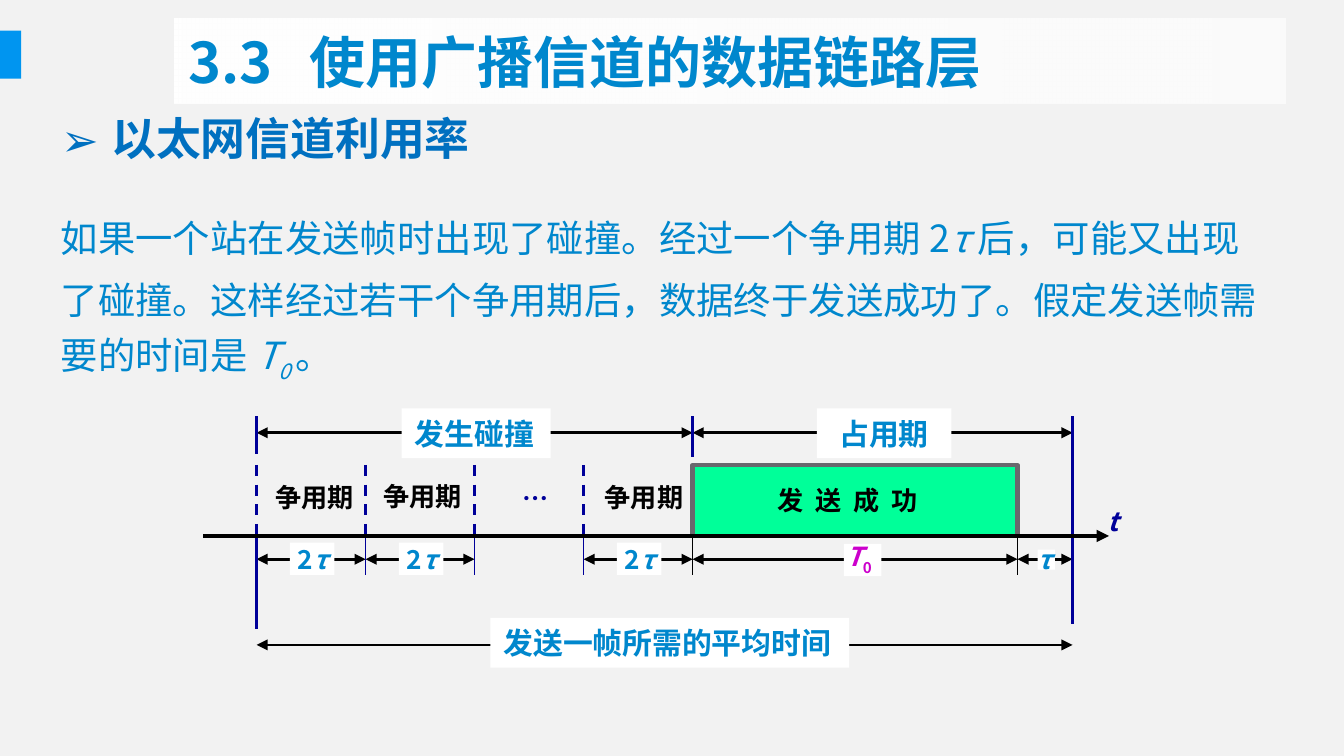
from dataclasses import dataclass
from typing import Optional

from lxml.etree import SubElement
from pptx import Presentation
from pptx.dml.color import RGBColor
from pptx.enum.dml import MSO_LINE_DASH_STYLE as Dash
from pptx.enum.shapes import MSO_CONNECTOR as Connector, MSO_SHAPE as ShapeKind
from pptx.enum.text import MSO_ANCHOR as Anchor, MSO_AUTO_SIZE as AutoSize, PP_ALIGN as Align
from pptx.oxml.ns import qn
from pptx.util import Cm, Pt


@dataclass(frozen=True)
class Theme:
    font: str = "Noto Sans CJK SC"
    background: str = "F2F2F2"
    accent: str = "0095F0"
    blue: str = "0087CD"
    heading: str = "0070C0"
    navy: str = "000099"
    black: str = "000000"
    white: str = "FFFFFF"
    magenta: str = "CC00CC"
    green: str = "00FF99"
    gray: str = "69676D"
    title_size: int = 30
    heading_size: int = 24
    body_size: int = 20
    label_size: int = 16
    note_size: int = 14
    thin: float = 0.75
    medium: float = 1.5
    thick: float = 2.25


THEME = Theme()


@dataclass(frozen=True)
class Run:
    text: str
    italic: bool = False
    subscript: bool = False
    spacing: float = 0  # extra points after each letter


@dataclass(frozen=True)
class Box:
    left: float
    top: float
    width: float
    height: float


@dataclass(frozen=True)
class Note:
    box: Box
    runs: tuple[Run, ...]
    color: str
    size: int = THEME.note_size
    fill: Optional[str] = None
    align: Align = Align.LEFT


@dataclass(frozen=True)
class Line:
    x1: float
    y1: float
    x2: float
    y2: float
    color: str = THEME.black
    width: float = THEME.medium
    dashed: bool = False
    heads: tuple[str, ...] = ()


def rgb(color: str) -> RGBColor:
    return RGBColor.from_string(color)


def place(shape, box: Box) -> None:
    shape.left, shape.top = Cm(box.left), Cm(box.top)
    shape.width, shape.height = Cm(box.width), Cm(box.height)


def add_runs(paragraph, runs: tuple[Run, ...], size: int, color: str, bold: bool = True) -> None:
    for item in runs:
        run = paragraph.add_run()
        run.text = item.text
        font = run.font
        font.size, font.bold, font.italic = Pt(size), bold, item.italic
        font.color.rgb = rgb(color)
        font.name = THEME.font
        properties = run._r.get_or_add_rPr()
        SubElement(properties, qn("a:ea"), typeface=THEME.font)
        if item.subscript:
            properties.set("baseline", "-25000")
        if item.spacing:
            properties.set("spc", str(round(item.spacing * 100)))


def add_rectangle(slide, box: Box, color: str):
    shape = slide.shapes.add_shape(
        ShapeKind.RECTANGLE, Cm(box.left), Cm(box.top), Cm(box.width), Cm(box.height))
    shape.shadow.inherit = False
    shape.fill.solid()
    shape.fill.fore_color.rgb = rgb(color)
    shape.line.fill.background()
    return shape


def add_note(slide, note: Note) -> None:
    box = note.box
    if note.fill:
        shape = add_rectangle(slide, box, note.fill)
    else:
        shape = slide.shapes.add_textbox(Cm(box.left), Cm(box.top), Cm(box.width), Cm(box.height))
    frame = shape.text_frame
    frame.word_wrap = False
    frame.vertical_anchor = Anchor.MIDDLE
    paragraph = frame.paragraphs[0]
    paragraph.alignment = note.align
    add_runs(paragraph, note.runs, note.size, note.color)


def add_line(slide, line: Line) -> None:
    connector = slide.shapes.add_connector(
        Connector.STRAIGHT, Cm(line.x1), Cm(line.y1), Cm(line.x2), Cm(line.y2))
    connector.line.color.rgb = rgb(line.color)
    connector.line.width = Pt(line.width)
    if line.dashed:
        connector.line.dash_style = Dash.DASH
    for head in line.heads:
        SubElement(connector.line._get_or_add_ln(), qn(f"a:{head}"), type="triangle")
    SubElement(connector._element.spPr, qn("a:effectLst"))


def add_heading(slide) -> None:
    # Title band, fading to the right
    title = slide.shapes.title
    place(title, Box(3.3, 0.36, 21, 1.6))
    title.fill.gradient()
    title.fill.gradient_angle = 0
    for stop in title.fill.gradient_stops:
        stop.color.rgb = rgb(THEME.white)
    last_color = title._element.spPr.findall(".//" + qn("a:srgbClr"))[-1]
    SubElement(last_color, qn("a:alpha"), val="67000")
    title.text_frame.auto_size = AutoSize.NONE
    title.text_frame.vertical_anchor = Anchor.MIDDLE
    paragraph = title.text_frame.paragraphs[0]
    paragraph.alignment = Align.LEFT
    tabs = SubElement(paragraph._p.get_or_add_pPr(), qn("a:tabLst"))
    SubElement(tabs, qn("a:tab"), pos=str(Cm(2.3)), algn="l")
    add_runs(paragraph, (Run("3.3\t使用广播信道的数据链路层"),), THEME.title_size, THEME.blue)

    # Bulleted topic
    body = slide.placeholders[1]
    place(body, Box(0.9, 1.96, 23.4, 1.27))
    body.text_frame.auto_size = AutoSize.NONE
    body.text_frame.vertical_anchor = Anchor.MIDDLE
    paragraph = body.text_frame.paragraphs[0]
    paragraph.space_before = Pt(0)
    properties = paragraph._p.get_or_add_pPr()
    properties.set("marL", str(Cm(0.95)))
    properties.set("indent", str(-Cm(0.95)))
    SubElement(properties, qn("a:buFont"), typeface=THEME.font)
    SubElement(properties, qn("a:buChar"), char="➢")
    add_runs(paragraph, (Run("以太网信道利用率"),), THEME.heading_size, THEME.heading)


def add_explanation(slide) -> None:
    frame = slide.shapes.add_textbox(Cm(0.9), Cm(3.63), Cm(23.4), Cm(3.78)).text_frame
    frame.word_wrap = True
    paragraph = frame.paragraphs[0]
    paragraph.line_spacing = Pt(33)
    runs = (
        Run("如果一个站在发送帧时出现了碰撞。经过一个争用期 2"), Run("τ ", italic=True),
        Run("后，可能又出现了碰撞。这样经过若干个争用期后，数据终于发送成功了。假定发送帧需要的时间是 "),
        Run("T", italic=True), Run("0 ", italic=True, subscript=True), Run("。"))
    add_runs(paragraph, runs, THEME.body_size, THEME.blue, bold=False)


def add_timeline(slide) -> None:
    # Moments along the axis and heights of the rows
    slots = [4.85 + 2.06 * index for index in range(5)]
    start, success, sent, end = slots[0], slots[4], 19.23, 20.27
    top, span_y, frame_top, axis_y, step_y, total_y = 7.87, 8.18, 8.79, 10.13, 10.57, 12.19
    contention = (0, 1, 3)
    both = ("headEnd", "tailEnd")

    # Dimension arrows
    spans = [(start, end, total_y), (start, success, span_y), (success, end, span_y),
             (sent, end, step_y), (success, sent, step_y)]
    spans += [(slots[i], slots[i + 1], step_y) for i in contention]
    for left, right, y in spans:
        add_line(slide, Line(left, y, right, y, heads=both))

    # Successful transmission, open along the axis
    builder = slide.shapes.build_freeform(Cm(success), Cm(axis_y), scale=1.0)
    corners = [(success, frame_top), (sent, frame_top), (sent, axis_y)]
    builder.add_line_segments([(Cm(x), Cm(y)) for x, y in corners], close=False)
    block = builder.convert_to_shape()
    block.shadow.inherit = False
    block.fill.solid()
    block.fill.fore_color.rgb = rgb(THEME.green)
    block.line.color.rgb = rgb(THEME.gray)
    block.line.width = Pt(THEME.thick)

    # Slot borders, ticks and outer limits
    for x in slots[:4]:
        add_line(slide, Line(x, frame_top, x, axis_y, THEME.navy, dashed=True))
    for x in (*slots[1:], sent):
        color = THEME.black if x >= success else THEME.navy
        add_line(slide, Line(x, axis_y, x, 10.87, color, THEME.thin))
    for x, y1, y2 in [(start, top, 8.59), (start, axis_y, 11.89), (success, top, 8.64),
                      (end, top, axis_y), (end, axis_y, 11.79)]:
        add_line(slide, Line(x, y1, x, y2, THEME.navy))
    add_line(slide, Line(3.84, axis_y, 20.96, axis_y, width=THEME.thick, heads=("tailEnd",)))

    # Gaps in the lower arrows, behind their labels
    patches = [Box(slots[i] + 0.63, 10.26, 0.84, 0.61) for i in contention]
    patches += [Box(15.95, 10.28, 0.71, 0.61), Box(19.61, 10.39, 0.33, 0.38)]
    for patch in patches:
        add_rectangle(slide, patch, THEME.white)

    # Labels
    tau = Run("τ", italic=True)
    notes = [Note(Box(slots[i] + 0.53, axis_y, 1.19, 0.86), (Run("2"), tau), THEME.blue)
             for i in contention]
    notes += [Note(Box(x, y, 2.16, 0.86), (Run("争用期"),), THEME.black)
              for x, y in [(4.95, 8.97), (6.99, 8.94), (11.18, 8.97)]]
    notes += [
        Note(Box(9.63, 8.99, 0.99, 0.86), (Run("…"),), THEME.navy),
        Note(Box(14.45, 9.02, 3.36, 0.86), (Run("发送成功", spacing=6.2),), THEME.black),
        Note(Box(15.75, axis_y, 1.04, 0.86),
             (Run("T", italic=True), Run("0", subscript=True)), THEME.magenta),
        Note(Box(19.35, axis_y, 0.74, 0.86), (tau,), THEME.blue),
        Note(Box(20.68, 9.42, 0.71, 0.86), (Run("t", italic=True),), THEME.navy)]
    for box, text, align in [
            (Box(7.59, 7.72, 2.82, 0.94), "发生碰撞", Align.LEFT),
            (Box(15.44, 7.72, 2.54, 0.94), "占用期", Align.CENTER),
            (Box(9.27, 11.68, 6.78, 0.94), "发送一帧所需的平均时间", Align.LEFT)]:
        notes.append(Note(box, (Run(text),), THEME.blue, THEME.label_size, THEME.white, align))
    for note in notes:
        add_note(slide, note)


def main() -> None:
    presentation = Presentation()
    presentation.slide_width, presentation.slide_height = Cm(25.4), Cm(14.29)
    slide = presentation.slides.add_slide(presentation.slide_layouts[1])
    slide.background.fill.solid()
    slide.background.fill.fore_color.rgb = rgb(THEME.background)
    add_rectangle(slide, Box(0, 0.58, 0.4, 0.91), THEME.accent)
    add_heading(slide)
    add_explanation(slide)
    add_timeline(slide)
    presentation.save("out.pptx")


if __name__ == "__main__":
    main()
